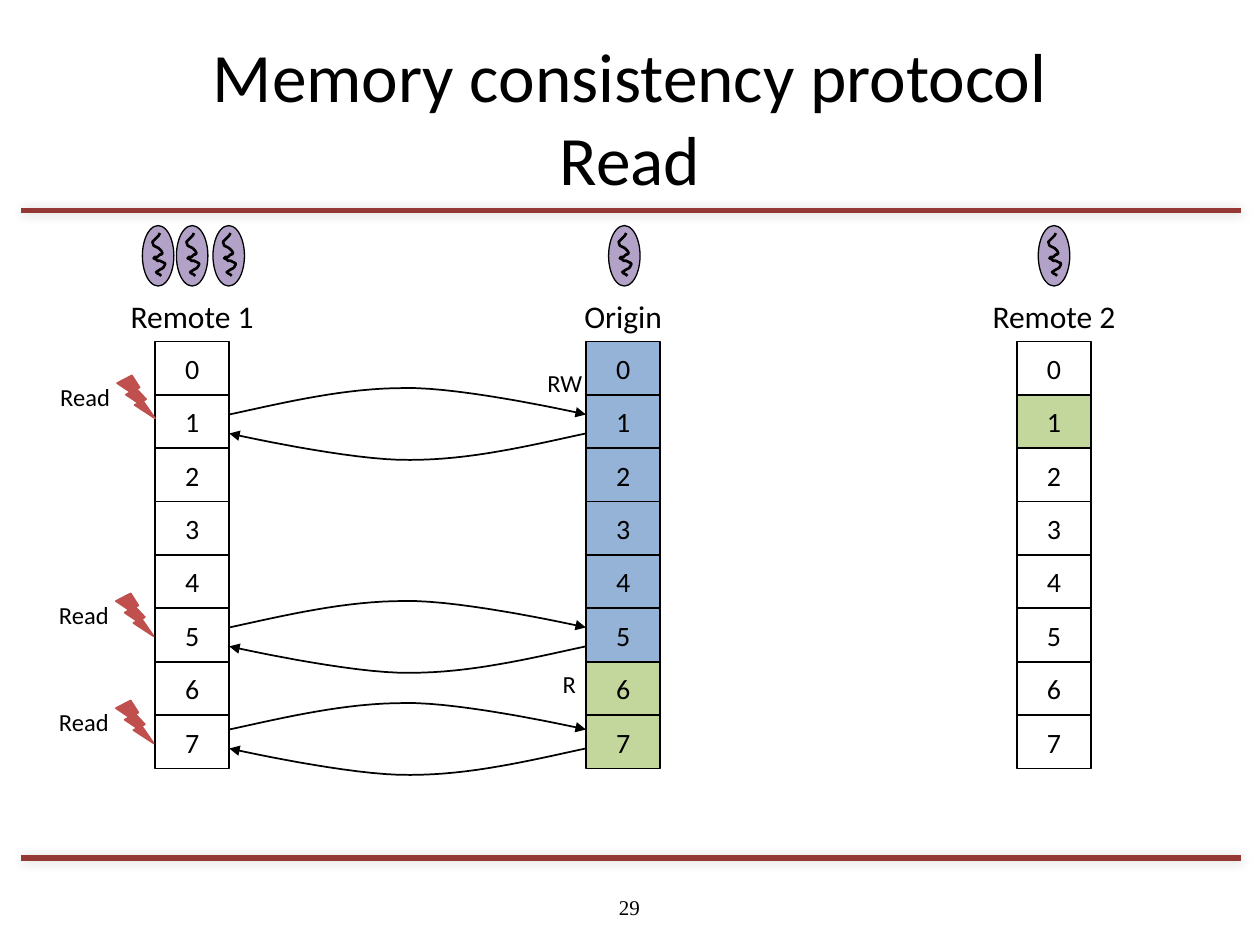
import pptx
import pptx.util
import pptx.dml.color
import pptx.enum.shapes
import pptx.enum.text
import pptx.oxml
import pptx.oxml.ns
from lxml import etree

Inches = pptx.util.Inches
Pt = pptx.util.Pt
SHAPES = pptx.enum.shapes.MSO_SHAPE
ALIGN = pptx.enum.text.PP_ALIGN
ANCHOR = pptx.enum.text.MSO_ANCHOR

COLORS = {name: pptx.dml.color.RGBColor.from_string(value) for name, value in {
    "black": "000000", "white": "FFFFFF", "rule": "953735", "blue": "95B3D7",
    "green": "C3D69B", "purple": "B3A2C7", "red": "C0504D",
}.items()}


def write_text(box, text, size=16, font="Calibri", align=ALIGN.CENTER,
               anchor=ANCHOR.MIDDLE, wrap=True):
    frame = box.text_frame
    frame.word_wrap = wrap
    frame.auto_size = pptx.enum.text.MSO_AUTO_SIZE.NONE
    frame.vertical_anchor = anchor
    para = frame.paragraphs[0]
    para.text = text
    para.alignment = align
    for span in para.runs:
        span.font.size = Pt(size)
        span.font.name = font
        span.font.color.rgb = COLORS["black"]


def style_shape(shape, fill, line, width):
    shape.shadow.inherit = False
    if fill:
        shape.fill.solid()
        shape.fill.fore_color.rgb = COLORS[fill]
    else:
        shape.fill.background()
    shape.line.color.rgb = COLORS[line]
    shape.line.width = Pt(width)


deck = pptx.Presentation()
deck.slide_width, deck.slide_height = Inches(10), Inches(7.5)
page = deck.slides.add_slide(deck.slide_layouts[5])
shapes = page.shapes

for y in (6.81, 1.67):
    rule = shapes.add_connector(pptx.enum.shapes.MSO_CONNECTOR.STRAIGHT,
                                Inches(0.17), Inches(y), Inches(9.85), Inches(y))
    rule.line.color.rgb = COLORS["rule"]
    rule.line.width = Pt(3)
    effects = etree.SubElement(rule.line._get_or_add_ln().getparent(),
                               pptx.oxml.ns.qn("a:effectLst"))
    shadow = etree.SubElement(effects, pptx.oxml.ns.qn("a:outerShdw"),
                              blurRad=str(Pt(6)), dist="0", dir=str(225 * 60000))
    shade = etree.SubElement(shadow, pptx.oxml.ns.qn("a:srgbClr"), val="000000")
    etree.SubElement(shade, pptx.oxml.ns.qn("a:alpha"), val="20000")

number = shapes.add_textbox(Inches(3.83), Inches(7), Inches(2.33), Inches(0.4))
write_text(number, "29", size=12, font="Times New Roman")

title = shapes.title
title.left, title.top = Inches(0.5), Inches(0.3)
title.width, title.height = Inches(9), Inches(1.25)
write_text(title, "Memory consistency protocol\vRead", size=39.6)

CELL_WIDTH = 0.59
CELL_HEIGHT = 3.39 / 8
columns = [
    ("Origin", 4.65, 0.82, ["blue"] * 6 + ["green"] * 2),
    ("Remote 2", 8.07, 1.19, ["white", "green"] + ["white"] * 6),
    ("Remote 1", 1.23, 1.19, ["white"] * 8),
]
for name, left, label_width, fills in columns:
    for row, fill in enumerate(fills):
        cell = shapes.add_shape(SHAPES.RECTANGLE, Inches(left),
                                Inches(2.71 + row * CELL_HEIGHT),
                                Inches(CELL_WIDTH), Inches(CELL_HEIGHT))
        style_shape(cell, fill, "black", 1)
        write_text(cell, str(row))
    label = shapes.add_textbox(Inches(left + (CELL_WIDTH - label_width) / 2),
                               Inches(2.31), Inches(label_width), Inches(0.4))
    write_text(label, name, size=18, anchor=ANCHOR.TOP, wrap=False)

squiggle = [
    (0.14, 0.06), (0.13, 0.08), (0.11, 0.1), (0.1, 0.11), (0.08, 0.13),
    (0.09, 0.16), (0.11, 0.17), (0.13, 0.18), (0.15, 0.2), (0.16, 0.22),
    (0.15, 0.23), (0.14, 0.23), (0.12, 0.25), (0.1, 0.25), (0.09, 0.26),
    (0.11, 0.27), (0.12, 0.28), (0.14, 0.28), (0.16, 0.29), (0.18, 0.3),
    (0.18, 0.31), (0.17, 0.33), (0.16, 0.34), (0.14, 0.35), (0.11, 0.37),
    (0.12, 0.38), (0.14, 0.39), (0.15, 0.4),
]
for left in (8.24, 1.69, 1.4, 1.13, 4.83):
    oval = shapes.add_shape(SHAPES.OVAL, Inches(left), Inches(1.79),
                            Inches(0.25), Inches(0.48))
    style_shape(oval, "purple", "black", 0.75)
    points = [(Inches(left + x), Inches(1.79 + y)) for x, y in squiggle]
    builder = shapes.build_freeform(*points[0], scale=1.0)
    builder.add_line_segments(points[1:], close=False)
    style_shape(builder.convert_to_shape(), "purple", "black", 1.5)

curves = [
    [(0, 0), (0.46, -0.1), (0.92, -0.21), (1.39, -0.21)],
    [(1.39, -0.21), (1.86, -0.22), (2.83, 0), (2.83, 0)],
]
STEPS = 16
arc = [(0, 0)]
for curve in curves:
    for step in range(1, STEPS + 1):
        t = step / STEPS
        weights = ((1 - t) ** 3, 3 * t * (1 - t) ** 2, 3 * t * t * (1 - t), t ** 3)
        arc.append(tuple(sum(weight * point[axis] for weight, point in zip(weights, curve))
                         for axis in (0, 1)))

for bolt_left, bolt_top, arc_top in ((0.93, 2.98, 3.29), (0.92, 4.71, 4.98),
                                     (0.92, 5.56, 5.79)):
    bolt = shapes.add_shape(SHAPES.LIGHTNING_BOLT, Inches(bolt_left), Inches(bolt_top),
                            Inches(0.3), Inches(0.34))
    style_shape(bolt, "red", "red", 1)
    label = shapes.add_textbox(Inches(bolt_left - 0.55), Inches(bolt_top),
                               Inches(0.6), Inches(0.34))
    write_text(label, "Read", size=14, align=ALIGN.LEFT, anchor=ANCHOR.TOP, wrap=False)
    for start_x, start_y, sign in ((1.82, arc_top, 1), (4.65, arc_top + 0.15, -1)):
        points = [(Inches(start_x + sign * x), Inches(start_y + sign * y)) for x, y in arc]
        builder = shapes.build_freeform(*points[0], scale=1.0)
        builder.add_line_segments(points[1:], close=False)
        arrow = builder.convert_to_shape()
        style_shape(arrow, None, "black", 1)
        etree.SubElement(arrow.line._get_or_add_ln(), pptx.oxml.ns.qn("a:tailEnd"),
                         type="triangle")

for text, left, top, width in (("R", 4.36, 5.26, 0.31), ("RW", 4.24, 2.87, 0.48)):
    label = shapes.add_textbox(Inches(left), Inches(top), Inches(width), Inches(0.34))
    write_text(label, text, size=14, align=ALIGN.RIGHT, anchor=ANCHOR.TOP, wrap=False)

deck.save("out.pptx")
